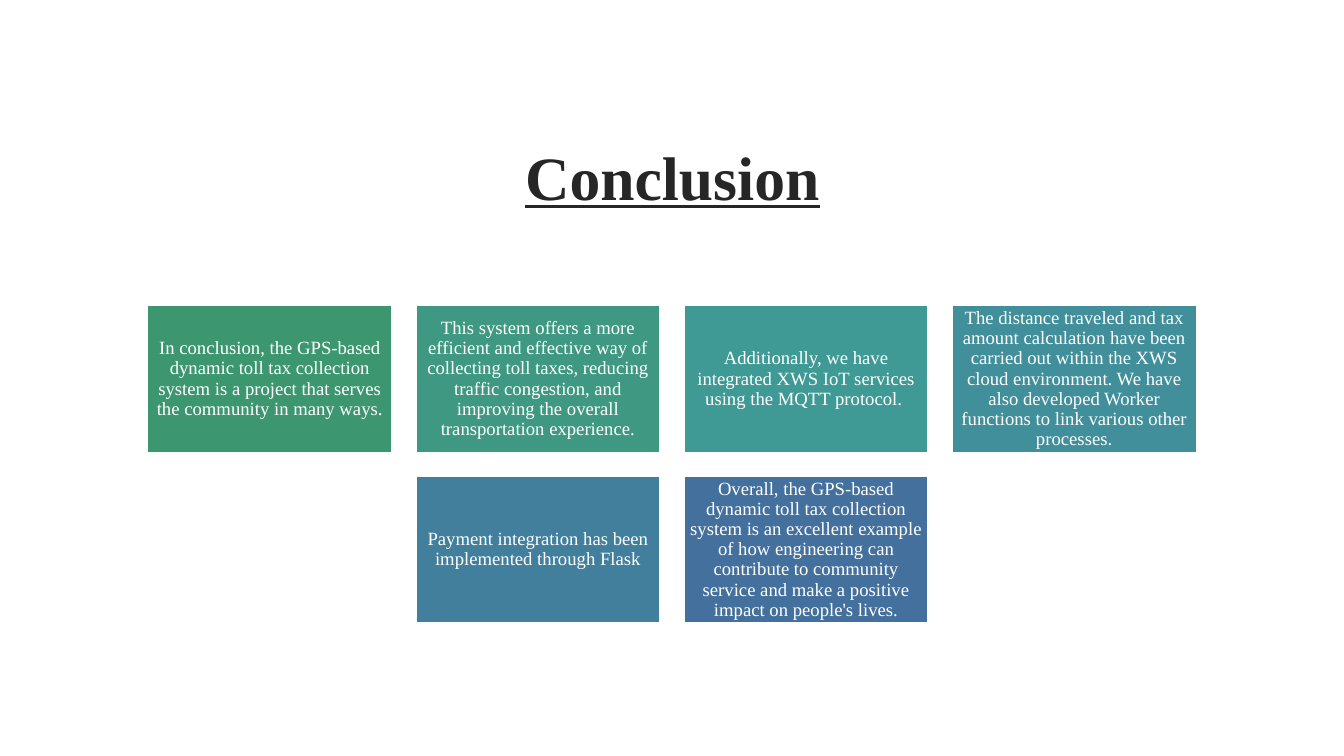
import pptx
import pptx.util
import pptx.dml.color
import pptx.enum.shapes
import pptx.enum.text

Inches = pptx.util.Inches
Pt = pptx.util.Pt

# Content: rows of (fill colour name, text)
TITLE = "Conclusion"
ROWS = [
    [
        ("green", "In conclusion, the GPS-based dynamic toll tax collection system is "
                  "a project that serves the community in many ways."),
        ("sea green", "This system offers a more efficient and effective way of collecting "
                      "toll taxes, reducing traffic congestion, and improving the overall "
                      "transportation experience."),
        ("teal", "Additionally, we have integrated XWS IoT services using the MQTT protocol. "),
        ("cyan", "The distance traveled and tax amount calculation have been carried out "
                 "within the XWS cloud environment. We have also developed Worker functions "
                 "to link various other processes."),
    ],
    [
        ("steel", "Payment integration has been implemented through Flask"),
        ("blue", "Overall, the GPS-based dynamic toll tax collection system is an excellent "
                 "example of how engineering can contribute to community service and make a "
                 "positive impact on people's lives."),
    ],
]
COLOURS = {
    "title": "262626", "white": "FFFFFF",
    "green": "3C9770", "sea green": "3E9882", "teal": "3F9995",
    "cyan": "418F9B", "steel": "427F9C", "blue": "44709D",
}
FONT = "Times New Roman"

# Layout in inches
PAGE_WIDTH, PAGE_HEIGHT = 20, 11.25
CARD_WIDTH, CARD_HEIGHT, GAP = 3.63, 2.18, 0.36
GRID_TOP = 4.55
INSET = 0.08


def colour(name):
    return pptx.dml.color.RGBColor.from_string(COLOURS[name])


def write(box, text, size, colour_name):
    """Put one centred paragraph in the middle of a box."""
    frame = box.text_frame
    frame.word_wrap = True
    frame.vertical_anchor = pptx.enum.text.MSO_ANCHOR.MIDDLE
    para = frame.paragraphs[0]
    para.alignment = pptx.enum.text.PP_ALIGN.CENTER
    para.line_spacing = 0.9
    span = para.add_run()
    span.text = text
    span.font.name = FONT
    span.font.size = Pt(size)
    span.font.color.rgb = colour(colour_name)
    return span


def add_card(page, left, top, fill, text):
    card = page.shapes.add_shape(
        pptx.enum.shapes.MSO_SHAPE.RECTANGLE,
        Inches(left), Inches(top), Inches(CARD_WIDTH), Inches(CARD_HEIGHT))
    card.shadow.inherit = False
    card.fill.solid()
    card.fill.fore_color.rgb = colour(fill)
    card.line.color.rgb = colour("white")
    card.line.width = Pt(1.25)
    frame = card.text_frame
    frame.margin_left = frame.margin_right = Inches(INSET)
    frame.margin_top = frame.margin_bottom = Inches(INSET)
    write(card, text, 20, "white")


def main():
    deck = pptx.Presentation()
    deck.slide_width, deck.slide_height = Inches(PAGE_WIDTH), Inches(PAGE_HEIGHT)
    page = deck.slides.add_slide(deck.slide_layouts[6])

    # Title
    box = page.shapes.add_textbox(Inches(2.13), Inches(1.61), Inches(15.75), Inches(2.14))
    span = write(box, TITLE, 66, "title")
    span.font.bold = True
    span.font.underline = True

    # Cards, each row centred on the page
    for row_index, row in enumerate(ROWS):
        row_width = len(row) * (CARD_WIDTH + GAP) - GAP
        row_left = (PAGE_WIDTH - row_width) / 2
        top = GRID_TOP + row_index * (CARD_HEIGHT + GAP)
        for column, (fill, text) in enumerate(row):
            add_card(page, row_left + column * (CARD_WIDTH + GAP), top, fill, text)

    deck.save("out.pptx")


if __name__ == "__main__":
    main()
